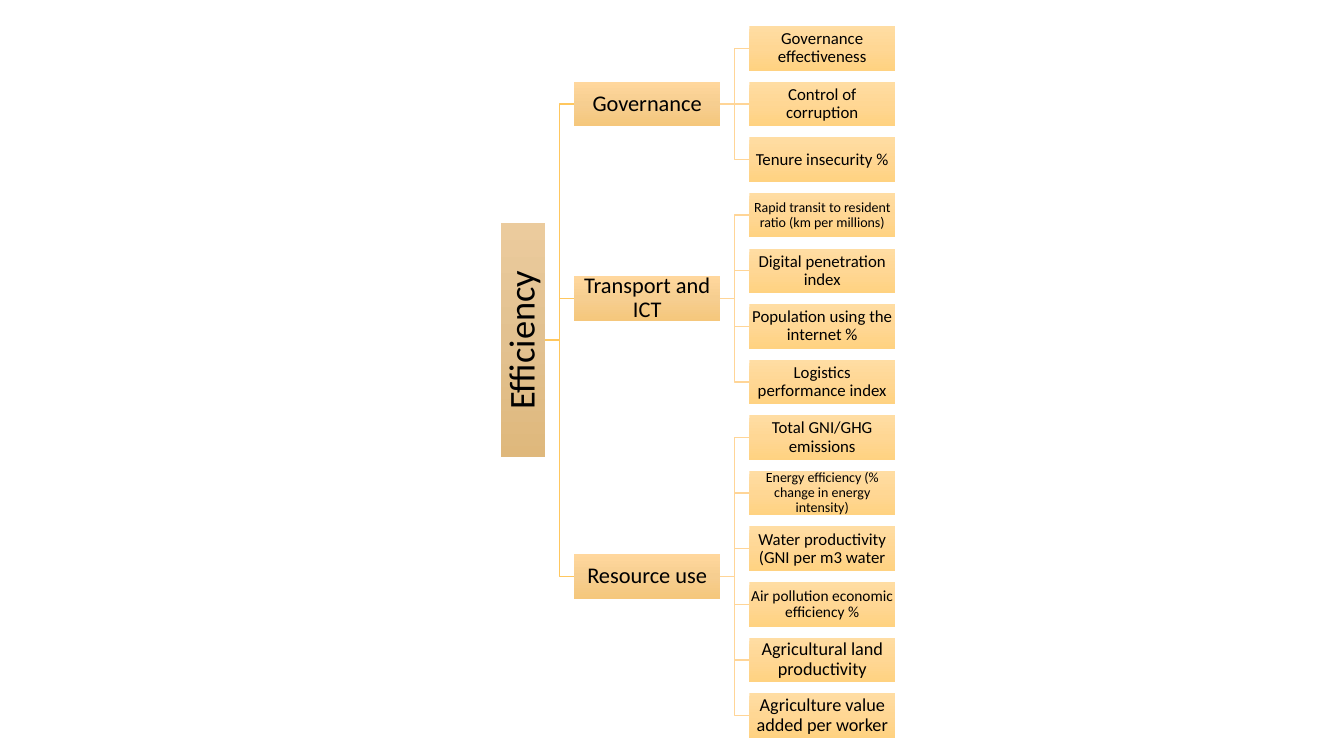
"""Build the efficiency indicator tree slide."""
from copy import deepcopy

from pptx import Presentation
from pptx.dml.color import RGBColor
from pptx.enum.shapes import MSO_SHAPE
from pptx.enum.text import MSO_ANCHOR, PP_ALIGN
from pptx.oxml.ns import qn
from pptx.util import Pt

RECT = MSO_SHAPE.RECTANGLE
MIDDLE = MSO_ANCHOR.MIDDLE
CENTER = PP_ALIGN.CENTER

ROOT = "Efficiency"
BRANCHES = [
    ("Governance", [
        ("Governance effectiveness", 12),
        ("Control of corruption", 12),
        ("Tenure insecurity %", 12),
    ]),
    ("Transport and ICT", [
        ("Rapid transit to resident ratio (km per millions)", 10),
        ("Digital penetration index", 12),
        ("Population using the internet %", 12),
        ("Logistics performance index", 12),
    ]),
    ("Resource use", [
        ("Total GNI/GHG emissions", 12),
        ("Energy efficiency (% change in energy intensity)", 10),
        ("Water productivity (GNI per m3 water", 12),
        ("Air pollution economic efficiency %", 11),
        ("Agricultural land productivity", 13),
        ("Agriculture value added per worker", 13),
    ]),
]
ROOT_SHADES = ("EBCB9D", "E2C190", "DFB87C")
BRANCH_SHADES = ("FFD79D", "F6CE90", "F5C77C")
LEAF_SHADES = ("FFDDA3", "FFD794", "FFD281")
BRANCH_LINE, LEAF_LINE, INK = "FFC75E", "FFD597", "000000"

PITCH, FIRST_Y = 39.71, 34.55
HEIGHT, WIDTH, ROOT_LENGTH, GAP = 31.77, 104.2, 167.2, 20.84
ROOT_X = 357.6
BRANCH_X = ROOT_X + HEIGHT + GAP
LEAF_X = BRANCH_X + WIDTH + GAP


def color(hex_string):
    """Turn a hex string into a colour."""
    return RGBColor.from_string(hex_string)


def add_elbow(slide, x, start_y, end_y, line_color):
    """Draw a bracket line across the gap that starts at x."""
    middle, end = Pt(x + GAP / 2), Pt(x + GAP)
    outline = slide.shapes.build_freeform(Pt(x), Pt(start_y))
    outline.add_line_segments(
        [(middle, Pt(start_y)), (middle, Pt(end_y)), (end, Pt(end_y))], close=False)
    elbow = outline.convert_to_shape()
    elbow.shadow.inherit = False
    elbow.fill.background()
    elbow.line.color.rgb = color(line_color)
    elbow.line.width = Pt(1)


def shade(box, shades):
    """Fill a box with a three-stop gradient running down the slide."""
    box.fill.gradient()
    box.fill.gradient_angle = 270
    stop_list = box._element.spPr.find(".//" + qn("a:gsLst"))
    stop_list.getparent().set("rotWithShape", "0")
    stop_list.insert(1, deepcopy(stop_list[0]))
    for stop, position, hex_string in zip(box.fill.gradient_stops, (0, 0.5, 1), shades):
        stop.position = position
        stop.color.rgb = color(hex_string)


def add_box(slide, text, size, x, center_y, shades, width=WIDTH, inset=0.8, rotation=0):
    """Add a labelled box whose vertical middle is center_y."""
    box = slide.shapes.add_shape(
        RECT, Pt(x), Pt(center_y - HEIGHT / 2), Pt(width), Pt(HEIGHT))
    box.rotation = rotation
    box.shadow.inherit = False
    box.line.fill.background()
    shade(box, shades)
    frame = box.text_frame
    frame_format = {"word_wrap": True, "vertical_anchor": MIDDLE}
    frame_format.update({f"margin_{side}": Pt(inset)
                         for side in ("left", "right", "top", "bottom")})
    for name, value in frame_format.items():
        setattr(frame, name, value)
    label = frame.paragraphs[0]
    label.alignment = CENTER
    label.line_spacing = 0.9
    run = label.add_run()
    run.text = text
    for name, value in {"name": "Calibri", "size": Pt(size)}.items():
        setattr(run.font, name, value)
    run.font.color.rgb = color(INK)


def main():
    """Lay out the tree and save it."""
    deck = Presentation()
    deck.slide_width, deck.slide_height = Pt(960), Pt(540)
    slide = deck.slides.add_slide(deck.slide_layouts[6])

    tree, row = [], 0
    for branch, leaves in BRANCHES:
        leaf_ys = [FIRST_Y + PITCH * (row + i) for i in range(len(leaves))]
        tree.append((branch, (leaf_ys[0] + leaf_ys[-1]) / 2, leaves, leaf_ys))
        row += len(leaves)
    root_y = (tree[0][1] + tree[-1][1]) / 2

    for _, branch_y, _, leaf_ys in tree:
        add_elbow(slide, ROOT_X + HEIGHT, root_y, branch_y, BRANCH_LINE)
        for leaf_y in leaf_ys:
            add_elbow(slide, BRANCH_X + WIDTH, branch_y, leaf_y, LEAF_LINE)

    add_box(slide, ROOT, 26, ROOT_X + (HEIGHT - ROOT_LENGTH) / 2, root_y, ROOT_SHADES,
            width=ROOT_LENGTH, inset=1.6, rotation=270)
    for branch, branch_y, leaves, leaf_ys in tree:
        add_box(slide, branch, 16, BRANCH_X, branch_y, BRANCH_SHADES)
        for (leaf, size), leaf_y in zip(leaves, leaf_ys):
            add_box(slide, leaf, size, LEAF_X, leaf_y, LEAF_SHADES)

    deck.save("out.pptx")


main()
